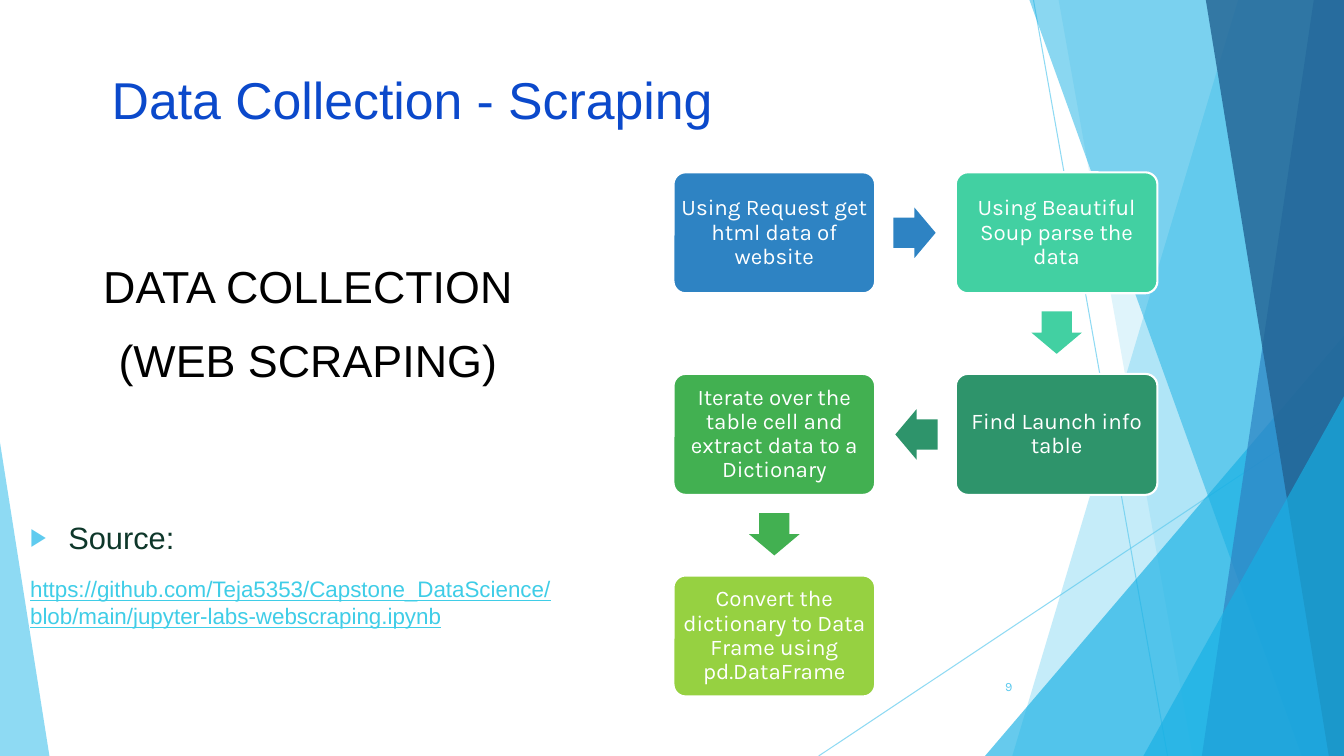
from dataclasses import dataclass

from lxml import etree
from pptx import Presentation
from pptx.dml.color import RGBColor
from pptx.enum.shapes import MSO_CONNECTOR, MSO_SHAPE
from pptx.enum.text import MSO_ANCHOR, PP_ALIGN
from pptx.oxml.ns import qn
from pptx.util import Pt

PX = 9144  # EMU per px, 100 px to the inch
LEFT, CENTER, RIGHT = PP_ALIGN.LEFT, PP_ALIGN.CENTER, PP_ALIGN.RIGHT
TOP, MIDDLE = MSO_ANCHOR.TOP, MSO_ANCHOR.MIDDLE
TRIANGLE = MSO_SHAPE.ISOSCELES_TRIANGLE
CARD, ARROW = MSO_SHAPE.ROUNDED_RECTANGLE, MSO_SHAPE.RIGHT_ARROW
STRAIGHT = MSO_CONNECTOR.STRAIGHT


@dataclass(frozen=True)
class Theme:
    sans: str = "Arial"
    card_font: str = "Karla"
    sky: str = "5FCBEF"
    azure: str = "17B0E4"
    blue: str = "2E83C3"
    navy: str = "226292"
    mint: str = "42D0A2"
    pine: str = "2E946B"
    green: str = "42B051"
    lime: str = "96D141"
    title: str = "0B49CB"
    black: str = "000000"
    white: str = "FFFFFF"
    label: str = "0E372A"
    link: str = "3FCDE7"
    title_size: float = 37
    heading_size: float = 32
    label_size: float = 22
    body_size: float = 16
    number_size: float = 9


THEME = Theme()

STEPS = [  # text, colour, column, row, direction of the arrow that follows
    ("Using Request get html data of website", THEME.blue, 0, 0, 0),
    ("Using Beautiful Soup parse the data", THEME.mint, 1, 0, 90),
    ("Find Launch info table", THEME.pine, 1, 1, 180),
    ("Iterate over the table cell and extract data to a Dictionary", THEME.green, 0, 1, 90),
    ("Convert the dictionary to Data Frame using pd.DataFrame", THEME.lime, 0, 2, None),
]
DIRECTIONS = {0: (1, 0), 90: (0, 1), 180: (-1, 0)}


def emu(*lengths):
    return [round(length * PX) for length in lengths]


def set_alpha(shape, percent):
    for color in shape.element.spPr.iter(qn("a:srgbClr")):
        etree.SubElement(color, qn("a:alpha"), val=str(percent * 1000))


def paint(shape, color, alpha=100):
    shape.shadow.inherit = False
    shape.fill.solid()
    shape.fill.fore_color.rgb = RGBColor.from_string(color)
    shape.line.fill.background()
    if alpha < 100:
        set_alpha(shape, alpha)


def write(paragraph, text, size, color, font=THEME.sans, align=LEFT):
    paragraph.alignment = align
    run = paragraph.add_run()
    run.text = text
    run.font.size, run.font.name = Pt(size), font
    run.font.color.rgb = RGBColor.from_string(color)
    return run


def text_frame(slide, box, anchor=TOP):
    frame = slide.shapes.add_textbox(*emu(*box)).text_frame
    frame.word_wrap = True
    frame.vertical_anchor = anchor
    return frame


def add_bullet(paragraph, indent):
    props = paragraph._p.get_or_add_pPr()
    props.set("marL", str(indent * PX))
    props.set("indent", str(-indent * PX))
    color = etree.SubElement(props, qn("a:buClr"))
    etree.SubElement(color, qn("a:srgbClr"), val=THEME.sky)
    etree.SubElement(props, qn("a:buSzPct"), val="80000")
    etree.SubElement(props, qn("a:buFont"), typeface=THEME.sans)
    etree.SubElement(props, qn("a:buChar"), char="▶")


def draw_backdrop(slide, box):
    left, top, width, height = box
    right, bottom = left + width, top + height

    def ray(x1, y1, x2, y2):
        line = slide.shapes.add_connector(STRAIGHT, *emu(x1, y1, x2, y2))
        line.line.color.rgb = RGBColor.from_string(THEME.sky)
        line.line.width = Pt(0.75)
        set_alpha(line, 70)
        etree.SubElement(line.element.spPr, qn("a:effectLst"))

    def band(top_x, bottom_x, color, alpha):
        outline = slide.shapes.build_freeform(top_x, top, scale=PX)
        outline.add_line_segments([(right, top), (right, bottom), (bottom_x, bottom)])
        paint(outline.convert_to_shape(), color, alpha)

    def corner(x, w, h, apex, color, alpha):
        triangle = slide.shapes.add_shape(TRIANGLE, *emu(x, bottom - h, w, h))
        triangle.adjustments[0] = apex
        paint(triangle, color, alpha)

    # Thin rays
    ray(left + 1025, top, left + 1158, bottom)
    ray(right, top + 403, left + 812, bottom)
    # Facets on the right edge, back to front
    band(left + 1228, left + 1004, THEME.sky, 36)
    band(left + 1050, left + 1183, THEME.sky, 20)
    corner(right - 356, 356, 417, 1, THEME.azure, 66)
    band(left + 1021, left + 1291, THEME.azure, 50)
    band(left + 1303, left + 1192, THEME.blue, 70)
    band(left + 1196, left + 1318, THEME.navy, 80)
    corner(right - 199, 199, 357, 1, THEME.azure, 66)
    # Wedge on the left edge
    corner(left, 49, 311, 0, THEME.sky, 70)


def draw_title(slide, box):
    title = text_frame(slide, box, MIDDLE).paragraphs[0]
    title.line_spacing = 0.7
    write(title, "Data Collection - Scraping", THEME.title_size, THEME.title)


def draw_topic(slide, box):
    left, top, width, height = box
    # Topic heading
    frame = text_frame(slide, (left, top, width, 140))
    first, second = frame.paragraphs[0], frame.add_paragraph()
    second.space_before = Pt(14)
    for line, text in ((first, "DATA COLLECTION"), (second, "(WEB SCRAPING)")):
        write(line, text, THEME.heading_size, THEME.black, align=CENTER)
    # Notebook address
    frame = text_frame(slide, (left, top + 258, width, height - 258))
    label, address = frame.paragraphs[0], frame.add_paragraph()
    add_bullet(label, 38)
    write(label, "Source:", THEME.label_size, THEME.label)
    address.space_before = Pt(14)
    url = "https://github.com/Teja5353/Capstone_DataScience/blob/main/jupyter-labs-webscraping.ipynb"
    write(address, url, THEME.body_size, THEME.link).font.underline = True


def draw_card(slide, box, text, color):
    card = slide.shapes.add_shape(CARD, *emu(*box))
    card.adjustments[0] = 0.1
    paint(card, color)
    card.line.color.rgb = RGBColor.from_string(THEME.white)
    card.line.width = Pt(1.5)
    frame = card.text_frame
    frame.word_wrap = True
    frame.vertical_anchor = MIDDLE
    frame.margin_left = frame.margin_right = 4 * PX
    frame.margin_top = frame.margin_bottom = 7 * PX
    frame.paragraphs[0].line_spacing = 0.9
    write(frame.paragraphs[0], text, THEME.body_size, THEME.white, THEME.card_font, CENTER)


def draw_flow(slide, box):
    left, top, width, height = box
    card_w, card_h, gap = 200, 120, 80
    arrow_w, arrow_h = 42, 50
    for text, color, column, row, turn in STEPS:
        x, y = left + column * (card_w + gap), top + row * (card_h + gap)
        draw_card(slide, (x, y, card_w, card_h), text, color)
        if turn is None:
            continue
        # Arrow in the gap towards the next card
        dx, dy = DIRECTIONS[turn]
        center_x = x + card_w / 2 + dx * (card_w / 2 + gap / 2 - 1)
        center_y = y + card_h / 2 + dy * (card_h / 2 + gap / 2 - 1)
        arrow = slide.shapes.add_shape(
            ARROW, *emu(center_x - arrow_w / 2, center_y - arrow_h / 2, arrow_w, arrow_h))
        arrow.adjustments[0], arrow.adjustments[1] = 0.6, 0.5
        arrow.rotation = turn
        paint(arrow, color)


def draw_slide_number(slide, box):
    number = text_frame(slide, box, MIDDLE).paragraphs[0]
    write(number, "9", THEME.number_size, THEME.sky, THEME.card_font, RIGHT)


def main():
    deck = Presentation()
    deck.slide_width, deck.slide_height = emu(1333, 750)
    slide = deck.slides.add_slide(deck.slide_layouts[6])
    draw_backdrop(slide, (0, 0, 1333, 750))
    draw_slide_number(slide, (939, 661, 75, 40))
    draw_topic(slide, (20, 252, 571, 400))
    draw_title(slide, (101, 76, 1150, 60))
    draw_flow(slide, (668, 171, 480, 520))
    deck.save("out.pptx")


if __name__ == "__main__":
    main()
